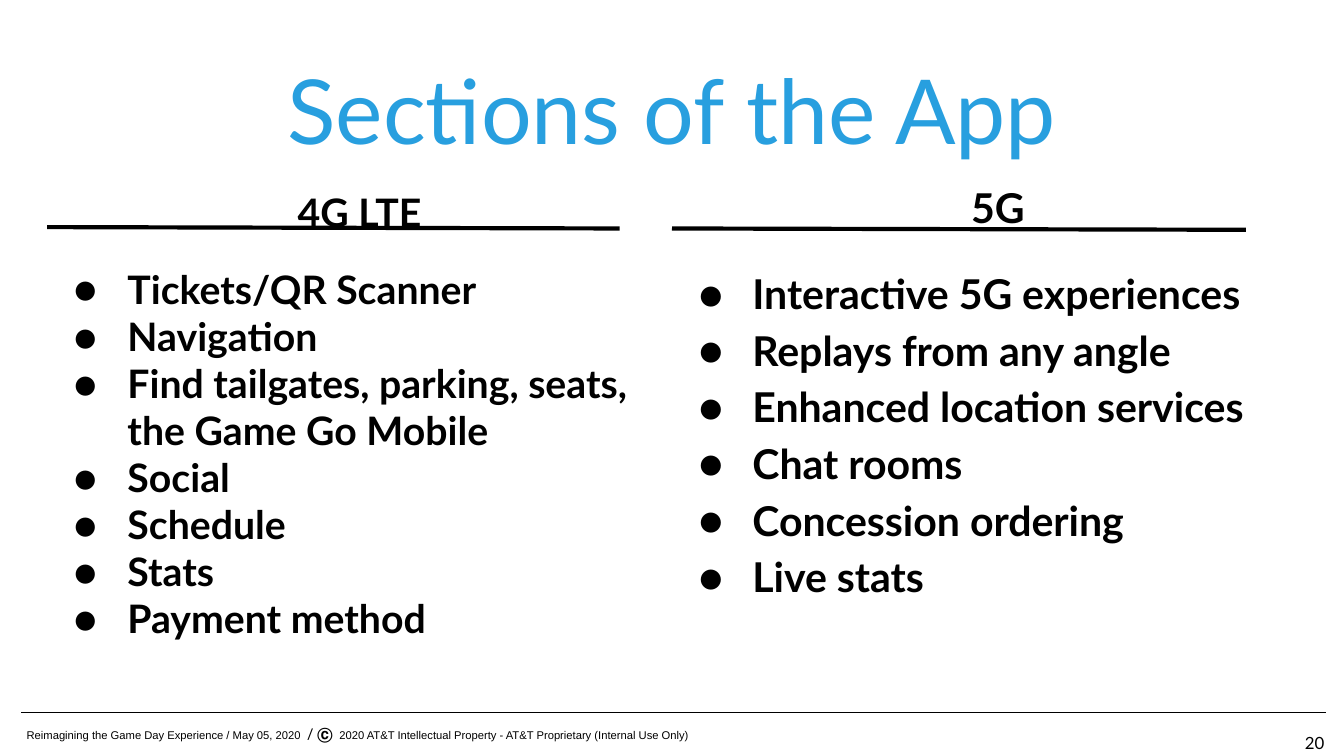
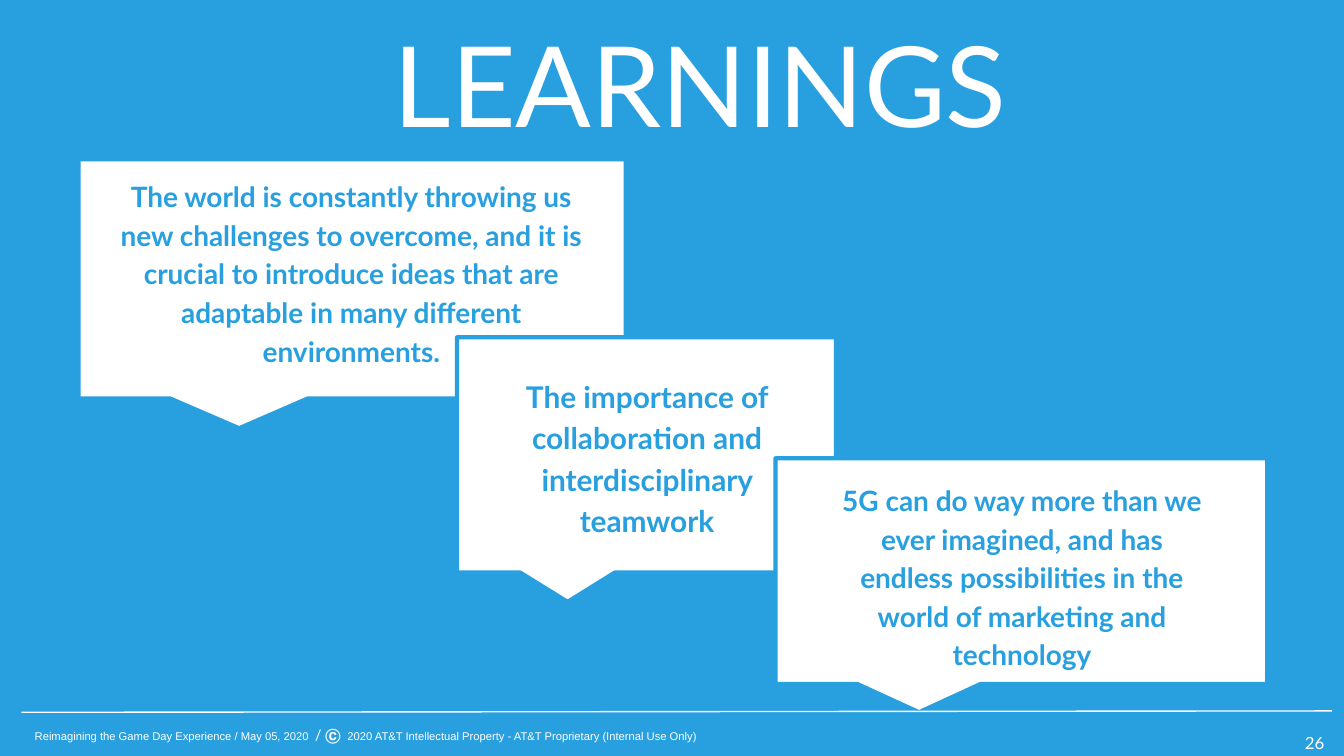
from dataclasses import dataclass

from lxml.etree import SubElement
from pptx import Presentation
from pptx.dml.color import RGBColor as RGB
from pptx.enum.shapes import MSO_CONNECTOR as CONNECTOR, MSO_SHAPE as SHAPE
from pptx.enum.text import MSO_ANCHOR as ANCHOR, MSO_AUTO_SIZE as AUTO_SIZE, PP_ALIGN as ALIGN
from pptx.oxml.ns import qn
from pptx.util import Inches, Pt


@dataclass(frozen=True)
class Theme:
    blue: RGB = RGB(0x28, 0x9F, 0xDF)
    white: RGB = RGB(0xFF, 0xFF, 0xFF)
    black: RGB = RGB(0, 0, 0)
    font: str = "Lato"
    small_font: str = "Arial"
    mark_font: str = "Roboto"
    small_size: int = 6
    mark_size: int = 8
    page_size: int = 9
    inset: float = 0.1
    thin: float = 0.75
    thick: float = 2.25


theme = Theme()


def set_text(shape, box, paragraphs, size, color, bold=False, align=ALIGN.LEFT, spacing=1.0):
    """Place a text shape, fill it with paragraphs and return its frame."""
    shape.left, shape.top, shape.width, shape.height = map(Inches, box)
    frame = shape.text_frame
    frame.word_wrap = True
    frame.auto_size = AUTO_SIZE.NONE
    frame.vertical_anchor = ANCHOR.TOP
    frame.margin_left = frame.margin_right = Inches(theme.inset)
    frame.margin_top = frame.margin_bottom = Inches(theme.inset)
    frame.text = "\n".join(paragraphs)
    for paragraph in frame.paragraphs:
        paragraph.alignment = align
        paragraph.line_spacing = spacing
        paragraph.space_before = paragraph.space_after = Pt(0)
        for run in paragraph.runs:
            run.font.name, run.font.size, run.font.bold = theme.font, Pt(size), bold
            run.font.color.rgb = color
    return frame


def add_rule(slide, start, end, color, weight):
    """Draw a straight line without a shadow."""
    rule = slide.shapes.add_connector(CONNECTOR.STRAIGHT, *map(Inches, start + end))
    rule.line.color.rgb = color
    rule.line.width = Pt(weight)
    SubElement(rule._element.spPr, qn("a:effectLst"))


# Widescreen 16:9
prs = Presentation()
prs.slide_width = Inches(10)
prs.slide_height = prs.slide_width * 9 // 16
title_only = prs.slide_layouts[5]

# Background and title of both slides
slide_settings = [
    dict(title="Sections of the App", title_box=(1.82, 0.31, 6.36, 0.93), title_size=48,
         title_color=theme.blue, title_align=ALIGN.CENTER, title_spacing=1.0, title_indent=0,
         background=theme.white, ink=theme.black, page="20",
         footer_box=(0.1, 5.29, 5.51, 0.34), rule_end=(9.87, 5.3)),
    dict(title="LEARNINGS", title_box=(2.33, 0.33, 5.41, 0.87), title_size=60,
         title_color=theme.white, title_align=ALIGN.LEFT, title_spacing=0.65, title_indent=0.5,
         background=theme.blue, ink=theme.white, page="26",
         footer_box=(0.16, 5.3, 5.21, 0.32), rule_end=(9.91, 5.29)),
]
slides = []
for setting in slide_settings:
    slide = prs.slides.add_slide(title_only)
    slides.append(slide)
    slide.background.fill.solid()
    slide.background.fill.fore_color.rgb = setting["background"]
    heading = set_text(slide.shapes.title, setting["title_box"], [setting["title"]],
                       setting["title_size"], setting["title_color"],
                       align=setting["title_align"], spacing=setting["title_spacing"])
    heading.paragraphs[0]._p.get_or_add_pPr().set("marL", str(Inches(setting["title_indent"])))

sections, learnings = slides

# Sections of the App: a headed list for each network
networks = [
    ((0.35, 1.25, 4.65, 3.82), 21, 1.0, (0.35, 1.69), (4.61, 1.7),
     ["4G LTE", "Tickets/QR Scanner", "Navigation",
      "Find tailgates, parking, seats, the Game Go Mobile",
      "Social", "Schedule", "Stats", "Payment method"]),
    ((5, 1.2, 4.85, 4.09), 22, 1.15, (5, 1.7), (9.27, 1.71),
     ["5G", "Interactive 5G experiences", "Replays from any angle",
      "Enhanced location services", "Chat rooms", "Concession ordering", "Live stats"]),
]
for box, size, spacing, rule_start, rule_end, lines in networks:
    column = set_text(sections.shapes.add_textbox(0, 0, 0, 0), box, lines, size,
                      theme.black, bold=True, spacing=spacing)
    network, *features = column.paragraphs
    network.alignment = ALIGN.CENTER
    network.line_spacing = 1.15
    for feature in features:
        properties = feature._p.get_or_add_pPr()
        properties.set("marL", str(Inches(0.5)))
        properties.set("indent", str(Inches(-0.4)))
        bullet_color = SubElement(properties, qn("a:buClr"))
        SubElement(bullet_color, qn("a:srgbClr"), val=str(theme.black))
        SubElement(properties, qn("a:buFont"), typeface=theme.font)
        SubElement(properties, qn("a:buChar"), char="●")
    features[0].space_before = Pt(16)
    add_rule(sections, rule_start, rule_end, theme.black, theme.thick)

# Learnings: overlapping callouts, each with its statement
statements = [
    ((0.6, 1.2, 4.04, 1.75), (0.73, 1.2, 3.77, 1.92), 15, False,
     "The world is constantly throwing us new challenges to overcome, and it is crucial "
     "to introduce ideas that are adaptable in many different environments."),
    ((3.4, 2.51, 2.82, 1.75), (3.78, 2.68, 2.07, 1.41), 16, True,
     "The importance of collaboration and interdisciplinary teamwork"),
    ((5.77, 3.41, 3.66, 1.68), (6.09, 3.46, 3.03, 1.54), 15, True,
     "5G can do way more than we ever imagined, and has endless possibilities in the "
     "world of marketing and technology"),
]
for callout_box, text_box, size, outlined, statement in statements:
    callout = learnings.shapes.add_shape(SHAPE.RECTANGULAR_CALLOUT, *map(Inches, callout_box))
    callout.adjustments[0], callout.adjustments[1] = -0.208, 0.625
    callout.shadow.inherit = False
    callout.fill.solid()
    callout.fill.fore_color.rgb = theme.white
    if outlined:
        callout.line.color.rgb = theme.blue
        callout.line.width = Pt(theme.thick)
    else:
        callout.line.fill.background()
    set_text(learnings.shapes.add_textbox(0, 0, 0, 0), text_box, [statement], size,
             theme.blue, bold=True, align=ALIGN.CENTER, spacing=1.15)

# Footer rule, copyright line and page number, in front of the content
footer_parts = [
    ("Reimagining the Game Day Experience / May 05, 2020 ", theme.small_font, theme.small_size, False),
    (" / ", theme.mark_font, theme.mark_size, False),
    ("Ⓒ ", theme.mark_font, theme.mark_size, True),
    (" 2020 AT&T Intellectual Property - AT&T Proprietary (Internal Use Only)",
     theme.small_font, theme.small_size, False),
]
for slide, setting in zip(slides, slide_settings):
    ink = setting["ink"]
    add_rule(slide, (0.16, 5.3), setting["rule_end"], ink, theme.thin)
    footer = set_text(slide.shapes.add_textbox(0, 0, 0, 0), setting["footer_box"], [],
                      theme.small_size, ink)
    for words, font, size, bold in footer_parts:
        run = footer.paragraphs[0].add_run()
        run.text = words
        run.font.name, run.font.size, run.font.bold = font, Pt(size), bold
        run.font.color.rgb = ink
    set_text(slide.shapes.add_textbox(0, 0, 0, 0), (9.61, 5.35, 0.39, 0.28),
             [setting["page"]], theme.page_size, ink)

prs.save("out.pptx")
